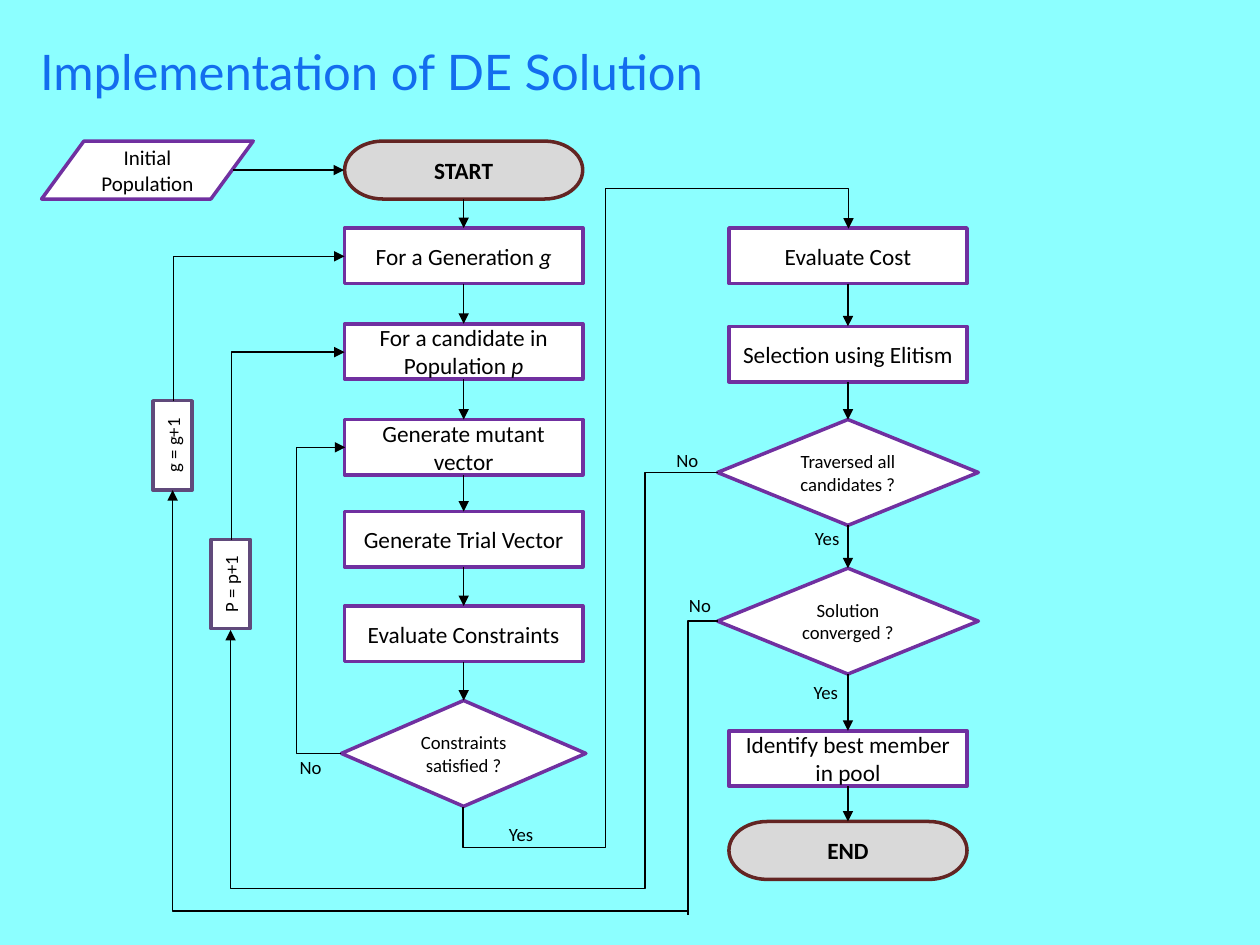
from itertools import pairwise

from lxml import etree
from pptx import Presentation
from pptx.dml.color import RGBColor
from pptx.enum import shapes, text
from pptx.oxml import ns
from pptx.util import Inches, Pt

PURPLE, VIOLET, MAROON = "7030A0", "604A7B", "632523"
BLACK, WHITE, GREY = "000000", "FFFFFF", "D9D9D9"
KIND = shapes.MSO_SHAPE
TOP, BOTTOM = 0, 2
LEFT_AXIS, RIGHT_AXIS = 3.68, 6.73

STYLES = {
    "step": (KIND.FLOWCHART_PROCESS, 1.89, 0.44, 13.3, WHITE, PURPLE),
    "end": (KIND.FLOWCHART_TERMINATOR, 1.89, 0.46, 13.3, GREY, MAROON),
    "input": (KIND.FLOWCHART_DATA, 1.68, 0.46, 12, WHITE, PURPLE),
    "narrow test": (KIND.FLOWCHART_DECISION, 1.94, 0.84, 10.7, WHITE, PURPLE),
    "test": (KIND.FLOWCHART_DECISION, 2.07, 0.84, 10.7, WHITE, PURPLE),
    "counter": (KIND.FLOWCHART_PROCESS, 0.31, 0.71, 10.7, WHITE, VIOLET),
}

LEFT_COLUMN = [
    ("end", 1.12, "START", ""),
    ("step", 1.81, "For a Generation ", "g"),
    ("step", 2.57, "For a candidate in Population ", "p"),
    ("step", 3.33, "Generate mutant vector", ""),
    ("step", 4.06, "Generate Trial Vector", ""),
    ("step", 4.81, "Evaluate Constraints", ""),
    ("narrow test", 5.56, "Constraints satisfied ?", ""),
]
RIGHT_COLUMN = [
    ("step", 1.81, "Evaluate Cost", ""),
    ("step", 2.59, "Selection using Elitism", ""),
    ("test", 3.33, "Traversed all candidates ?", ""),
    ("test", 4.51, "Solution converged ?", ""),
    ("step", 5.8, "Identify best member in pool", ""),
    ("end", 6.52, "END", ""),
]
LABELS = [
    ("Yes", 3.94, 6.48), ("Yes", 6.37, 4.13), ("Yes", 6.36, 5.35),
    ("No", 2.28, 5.95), ("No", 5.27, 3.51), ("No", 5.37, 4.66),
]
ROUTES = [
    ("bentConnector5", (2.91, 2.58, 4.59, 3.06), 90, "HV", (-0.07, 0.37, 1.07), True),
    ("bentConnector3", (2.71, 3.55, 0.03, 2.43), 180, "H", (-12,), True),
    ("bentConnector4", (1.83, 3.75, 3.87, 1.25), 180, "V", (0.15, 2.64), True),
    ("bentConnector2", (1.54, 3.09, 1.49, 0.9), 90, "HV", (), True),
    ("bentConnector2", (1.48, 1.93, 1.15, 1.36), 90, "HV", (), True),
    ("bentConnector2", (5.46, 4.93, 0.24, 2.33), 180, "V", (), False),
    ("bentConnector2", (1.37, 3.89, 4.08, 3.34), 180, "", (), True),
]


def color(value):
    return RGBColor.from_string(value)


def set_font(font, name, size, value):
    font.name, font.size = name, Pt(size)
    font.color.rgb = color(value)


def add_node(page, style, axis, top, words, italic=""):
    kind, width, height, size, fill, line = STYLES[style]
    node = page.shapes.add_shape(
        kind, Inches(axis - width / 2), Inches(top), Inches(width), Inches(height))
    node.shadow.inherit = False
    node.fill.solid()
    node.fill.fore_color.rgb = color(fill)
    node.line.color.rgb = color(line)
    node.line.width = Pt(2)
    frame = node.text_frame
    frame.word_wrap = True
    frame.vertical_anchor = text.MSO_ANCHOR.MIDDLE
    para = frame.paragraphs[0]
    para.alignment = text.PP_ALIGN.CENTER
    set_font(para.font, "Calibri", size, BLACK)
    para.font.bold = style == "end"
    para.add_run().text = words
    if italic:
        span = para.add_run()
        span.text = italic
        span.font.italic = True
    if style == "counter":
        frame._txBody.bodyPr.set("vert", "vert270")
    return node


def add_text(page, words, place, name, size, value):
    box = page.shapes.add_textbox(*map(Inches, place))
    frame = box.text_frame
    frame.word_wrap = True
    para = frame.paragraphs[0]
    para.text = words
    set_font(para.font, name, size, value)
    return box


def style_line(line, arrow=True):
    line.line.color.rgb = color(BLACK)
    line.line.width = Pt(0.75)
    if arrow:
        outline = line.line._get_or_add_ln()
        etree.SubElement(outline, ns.qn("a:tailEnd"), type="triangle")
    etree.SubElement(line._element.spPr, ns.qn("a:effectLst"))


def add_arrow(page, x1, y1, x2, y2):
    arrow = page.shapes.add_connector(
        shapes.MSO_CONNECTOR.STRAIGHT, *map(Inches, (x1, y1, x2, y2)))
    style_line(arrow)
    return arrow


def add_column(page, axis, rows):
    nodes = [add_node(page, style, axis, *row) for style, *row in rows]
    for upper, lower in pairwise(nodes):
        arrow = add_arrow(page, axis, 0, axis, 1)
        arrow.begin_connect(upper, BOTTOM)
        arrow.end_connect(lower, TOP)


def add_route(page, preset, place, turn, flips, bends, arrow):
    left, top, width, height = place
    route = page.shapes.add_connector(
        shapes.MSO_CONNECTOR.ELBOW,
        *map(Inches, (left, top, left + width, top + height)))
    properties = route._element.spPr
    frame = properties.find(ns.qn("a:xfrm"))
    frame.set("rot", str(turn * 60000))
    for flip in flips:
        frame.set("flip" + flip, "1")
    geometry = properties.find(ns.qn("a:prstGeom"))
    geometry.set("prst", preset)
    guides = geometry.find(ns.qn("a:avLst"))
    for number, bend in enumerate(bends, 1):
        etree.SubElement(guides, ns.qn("a:gd"), name=f"adj{number}",
                         fmla=f"val {round(bend * 100000)}")
    style_line(route, arrow)


def main():
    deck = Presentation()
    deck.slide_width, deck.slide_height = Inches(10), Inches(7.5)
    page = deck.slides.add_slide(deck.slide_layouts[6])
    page.background.fill.solid()
    page.background.fill.fore_color.rgb = color("8CFFFF")

    title = add_text(page, "Implementation of DE Solution",
                     (0.22, -0.06, 9, 1.25), "Lato", 28, "136DEE")
    title.text_frame.vertical_anchor = text.MSO_ANCHOR.MIDDLE
    title.text_frame.paragraphs[0].alignment = text.PP_ALIGN.JUSTIFY

    add_column(page, LEFT_AXIS, LEFT_COLUMN)
    add_column(page, RIGHT_AXIS, RIGHT_COLUMN)
    add_node(page, "input", 1.17, 1.12, "Initial Population")
    add_arrow(page, 1.85, 1.35, 2.73, 1.35)
    for words, left, top in LABELS:
        add_text(page, words, (left, top, 0.54, 0.28), "Calibri", 10.7, BLACK)
    add_node(page, "counter", 1.83, 4.28, "P = p+1")
    add_node(page, "counter", 1.37, 3.18, "g = g+1")
    for route in ROUTES:
        add_route(page, *route)
    deck.save("out.pptx")


if __name__ == "__main__":
    main()
